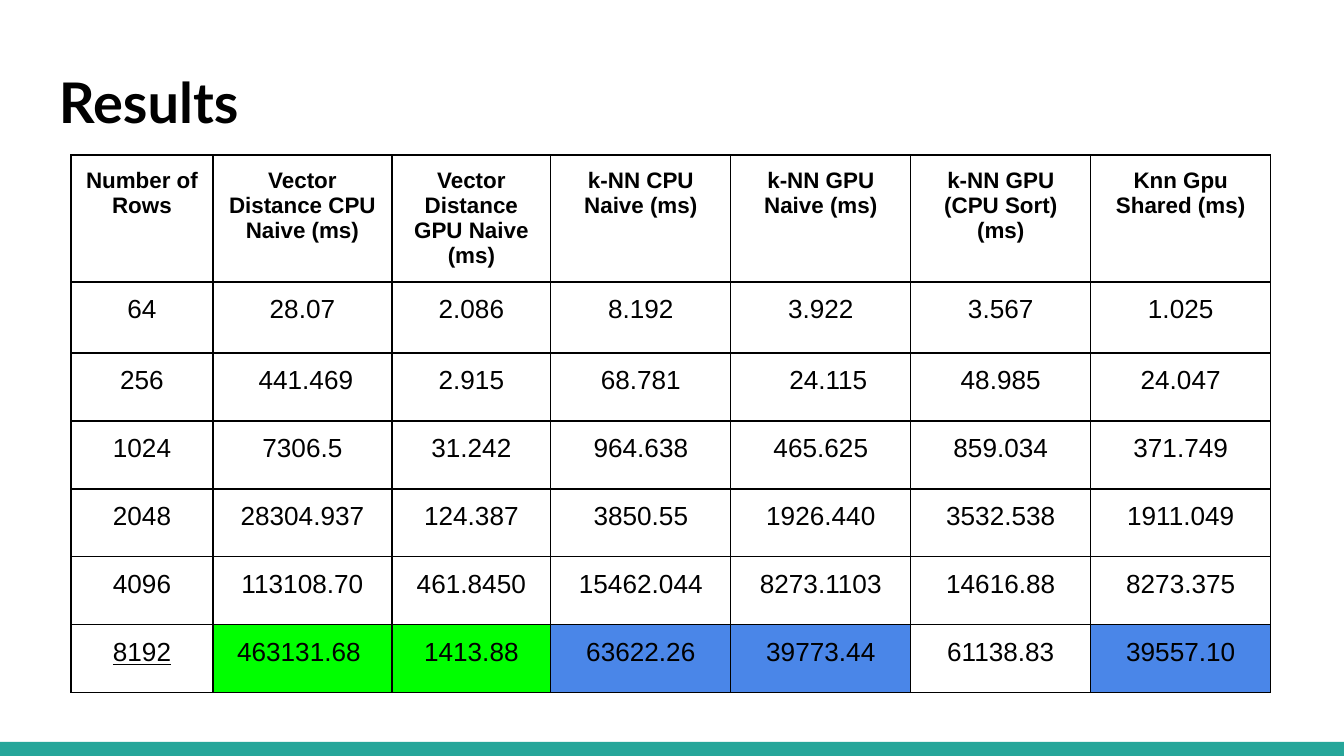
from lxml.etree import SubElement
from pptx import Presentation
from pptx.dml.color import RGBColor
from pptx.enum.shapes import MSO_SHAPE
from pptx.enum.text import MSO_ANCHOR, PP_ALIGN
from pptx.oxml.ns import qn
from pptx.util import Emu, Pt

PX_PER_INCH = 134.4
BLACK, WHITE, TEAL, GREEN, BLUE = "000000", "FFFFFF", "26A69A", "00FF00", "4A86E8"


def px(length):
    return Emu(round(length * 914400 / PX_PER_INCH))


def color(hex_string):
    return RGBColor.from_string(hex_string)


class ResultsSlide:
    title_font = "Lato"
    body_font = "Arial"
    inset = 13
    border_width = 0.75

    def __init__(self, presentation):
        self.slide = presentation.slides.add_slide(presentation.slide_layouts[5])

    def set_font(self, paragraph, name, size, bold=False, underline=False):
        font = paragraph.font
        font.name, font.size, font.bold = name, Pt(size), bold
        font.underline = underline
        font.color.rgb = color(BLACK)

    def bar(self, left, top, width, height, fill):
        bar = self.slide.shapes.add_shape(
            MSO_SHAPE.RECTANGLE, px(left), px(top), px(width), px(height))
        bar.shadow.inherit = False
        bar.fill.solid()
        bar.fill.fore_color.rgb = color(fill)
        bar.line.fill.background()

    def title(self, text, left, top, width, height):
        title = self.slide.shapes.title
        title.left, title.top = px(left), px(top)
        title.width, title.height = px(width), px(height)
        frame = title.text_frame
        frame.text = text
        frame.vertical_anchor = MSO_ANCHOR.TOP
        frame.margin_left = frame.margin_right = px(self.inset)
        frame.margin_top = frame.margin_bottom = px(self.inset)
        frame.paragraphs[0].alignment = PP_ALIGN.LEFT
        self.set_font(frame.paragraphs[0], self.title_font, 30, bold=True)

    def borders(self, cell):
        properties = cell._tc.get_or_add_tcPr()
        for position, side in enumerate(("a:lnL", "a:lnR", "a:lnT", "a:lnB")):
            line = SubElement(properties, qn(side), w=str(Pt(self.border_width)))
            fill = SubElement(line, qn("a:solidFill"))
            SubElement(fill, qn("a:srgbClr"), val=BLACK)
            properties.insert(position, line)

    def table(self, rows, left, top, widths, heights, fills, nudges, underlined):
        table = self.slide.shapes.add_table(
            len(rows), len(widths), px(left), px(top),
            px(sum(widths)), px(sum(heights))).table
        for column, width in zip(table.columns, widths):
            column.width = px(width)
        for row, height in zip(table.rows, heights):
            row.height = px(height)
        for r, values in enumerate(rows):
            for c, value in enumerate(values):
                cell = table.cell(r, c)
                cell.text = value
                cell.vertical_anchor = MSO_ANCHOR.TOP
                extra_left, extra_right = nudges.get(value, (0, 0))
                cell.margin_left = px(self.inset + extra_left)
                cell.margin_right = px(self.inset + extra_right)
                cell.margin_top = cell.margin_bottom = px(self.inset)
                cell.fill.solid()
                cell.fill.fore_color.rgb = color(fills.get((r, c), WHITE))
                self.borders(cell)
                paragraph = cell.text_frame.paragraphs[0]
                paragraph.alignment = PP_ALIGN.CENTER
                header = r == 0
                self.set_font(paragraph, self.body_font, 12 if header else 14,
                              bold=header, underline=value in underlined)


def main():
    presentation = Presentation()
    presentation.slide_width, presentation.slide_height = px(1344), px(756)
    results = ResultsSlide(presentation)

    # Footer bar
    results.bar(0, 742, 1344, 14, TEAL)

    # Timings, with the largest run highlighted
    timings = [
        ["Number of Rows", "Vector Distance CPU Naive (ms)",
         "Vector Distance GPU Naive (ms)", "k-NN CPU Naive (ms)",
         "k-NN GPU Naive (ms)", "k-NN GPU (CPU Sort) (ms)", "Knn Gpu Shared (ms)"],
        ["64", "28.07", "2.086", "8.192", "3.922", "3.567", "1.025"],
        ["256", "441.469", "2.915", "68.781", "24.115", "48.985", "24.047"],
        ["1024", "7306.5", "31.242", "964.638", "465.625", "859.034", "371.749"],
        ["2048", "28304.937", "124.387", "3850.55", "1926.440", "3532.538", "1911.049"],
        ["4096", "113108.70", "461.8450", "15462.044", "8273.1103", "14616.88", "8273.375"],
        ["8192", "463131.68", "1413.88", "63622.26", "39773.44", "61138.83", "39557.10"],
    ]
    last = len(timings) - 1
    results.table(
        timings, 71, 155,
        widths=[142, 179, 159] + [180] * 4,
        heights=[127, 71] + [68] * 5,
        fills={(last, 1): GREEN, (last, 2): GREEN,
               (last, 3): BLUE, (last, 4): BLUE, (last, 6): BLUE},
        nudges={"441.469": (7, 0), "24.115": (15, 0), "463131.68": (0, 7)},
        underlined={"8192"})

    # Title
    results.title("Results", 46, 54, 1252, 90)

    presentation.save("out.pptx")


if __name__ == "__main__":
    main()
